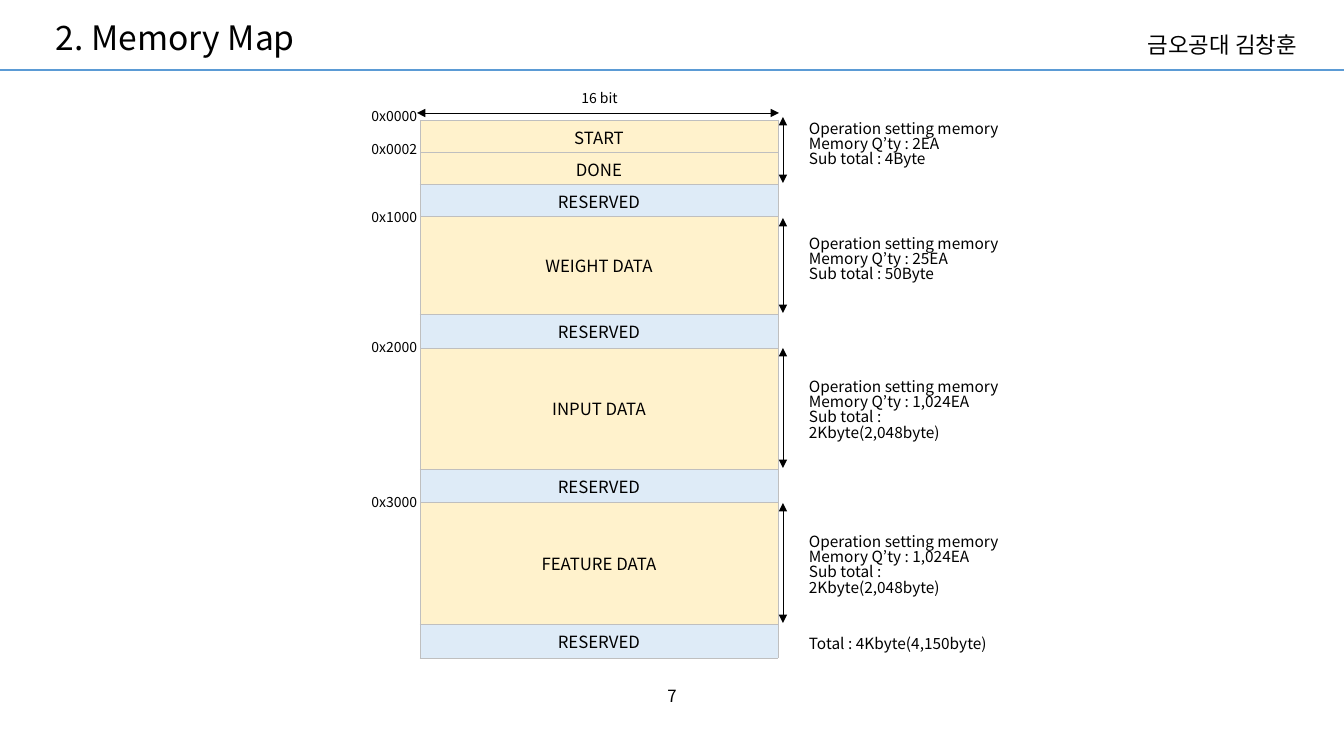
from lxml import etree
from pptx import Presentation
from pptx.dml.color import RGBColor
from pptx.enum.shapes import MSO_CONNECTOR
from pptx.enum.text import MSO_ANCHOR, PP_ALIGN
from pptx.oxml.ns import qn
from pptx.util import Emu, Pt

STRAIGHT = MSO_CONNECTOR.STRAIGHT
TOP, MIDDLE = MSO_ANCHOR.TOP, MSO_ANCHOR.MIDDLE
LEFT, CENTER, RIGHT = PP_ALIGN.LEFT, PP_ALIGN.CENTER, PP_ALIGN.RIGHT

EMU_PER_PIXEL = 914400 / 100.8
FONT = "Noto Sans CJK KR"
COLORS = {
    "text": "000000",
    "rule": "5B9BD5",
    "border": "BFBFBF",
    "used": "FFF2CC",
    "reserved": "DEEBF7",
}


def px(pixels):
    return Emu(round(pixels * EMU_PER_PIXEL))


def color(name):
    return RGBColor.from_string(COLORS[name])


class SlideBuilder:
    """Holds the style and the current slide."""

    def __init__(self, slide):
        self.slide = slide

    def fill_frame(self, frame, lines, size, align, spacing):
        for index, line in enumerate(lines):
            paragraph = frame.paragraphs[0] if index == 0 else frame.add_paragraph()
            paragraph.alignment = align
            paragraph.line_spacing = spacing
            run = paragraph.add_run()
            run.text = line
            for name, value in {"size": Pt(size), "name": FONT}.items():
                setattr(run.font, name, value)
            run.font.color.rgb = color("text")
            properties = run._r.get_or_add_rPr()
            etree.SubElement(properties, qn("a:ea")).set("typeface", FONT)

    def text(self, box, lines, size, align=LEFT, anchor=TOP, spacing=0.83, inset=None):
        frame = self.slide.shapes.add_textbox(*map(px, box)).text_frame
        settings = {"word_wrap": True, "vertical_anchor": anchor}
        if inset is not None:
            for side in ("left", "top", "right", "bottom"):
                settings[f"margin_{side}"] = px(inset)
        for name, value in settings.items():
            setattr(frame, name, value)
        self.fill_frame(frame, lines, size, align, spacing)

    def line(self, start, end, color_name, width, arrows=False):
        connector = self.slide.shapes.add_connector(
            STRAIGHT, *map(px, (*start, *end)))
        connector.line.color.rgb = color(color_name)
        connector.line.width = Pt(width)
        properties = connector._element.spPr
        if arrows:
            outline = properties.find(qn("a:ln"))
            for tag in ("a:headEnd", "a:tailEnd"):
                etree.SubElement(outline, qn(tag)).set("type", "triangle")
        etree.SubElement(properties, qn("a:effectLst"))

    def border(self, cell):
        properties = cell._tc.get_or_add_tcPr()
        for index, tag in enumerate(("a:lnL", "a:lnR", "a:lnT", "a:lnB")):
            edge = etree.Element(qn(tag), w=str(int(Pt(0.5))))
            fill = etree.SubElement(edge, qn("a:solidFill"))
            etree.SubElement(fill, qn("a:srgbClr")).set("val", COLORS["border"])
            properties.insert(index, edge)

    def memory_table(self, left, top, width, regions):
        heights = [height for _, height in regions]
        table = self.slide.shapes.add_table(
            len(regions), 1, *map(px, (left, top, width, sum(heights)))).table
        table.first_row = table.horz_banding = False
        for index, (label, height) in enumerate(regions):
            table.rows[index].height = px(height)
            cell = table.cell(index, 0)
            cell.vertical_anchor = MIDDLE
            cell.fill.solid()
            cell.fill.fore_color.rgb = color(
                "reserved" if label == "RESERVED" else "used")
            self.border(cell)
            self.fill_frame(cell.text_frame, [label], 12, CENTER, 1.0)


presentation = Presentation()
presentation.slide_width, presentation.slide_height = px(1344), px(756)
builder = SlideBuilder(
    presentation.slides.add_slide(presentation.slide_layouts[6]))

# Header and page number
builder.line((0, 70), (1344, 70), "rule", 1.5)
builder.text((1138, 31, 192, 37), ["금오공대 김창훈"], 16)
builder.text((46, 14, 410, 52), ["2. Memory Map"], 24, anchor=MIDDLE, spacing=0.9)
builder.text((521, 678, 302, 40), ["7"], 12, CENTER, MIDDLE)

# Memory regions
builder.memory_table(420, 120, 358, [
    ("START", 32), ("DONE", 32), ("RESERVED", 32),
    ("WEIGHT DATA", 98), ("RESERVED", 34),
    ("INPUT DATA", 121), ("RESERVED", 33),
    ("FEATURE DATA", 122), ("RESERVED", 34),
])

# Word width
builder.text((542, 87, 115, 27), ["16 bit"], 10, CENTER)
builder.line((417, 113), (779, 113), "text", 0.5, arrows=True)

# Each block: span arrow, start address, and a note centred on the span
BLOCKS = [
    (117, 183, "0x0000", "2EA", "4Byte"),
    (218, 313, "0x1000", "25EA", "50Byte"),
    (348, 468, "0x2000", "1,024EA", "2Kbyte(2,048byte)"),
    (503, 623, "0x3000", "1,024EA", "2Kbyte(2,048byte)"),
]
NOTE_LEFT, NOTE_HEIGHT = 799, 66
addresses = [(top - 8, address) for top, _, address, _, _ in BLOCKS]
for top, address in addresses + [(142, "0x0002")]:
    builder.text((366, top, 51, 17), [address], 10, RIGHT, MIDDLE, inset=0)
for top, bottom, _, quantity, subtotal in BLOCKS:
    builder.line((783, top), (783, bottom), "text", 0.5, arrows=True)
    note_top = (top + bottom - NOTE_HEIGHT) // 2
    builder.text((NOTE_LEFT, note_top, 222, NOTE_HEIGHT), [
        "Operation setting memory",
        f"Memory Q’ty : {quantity}",
        f"Sub total : {subtotal}",
    ], 11)
builder.text((NOTE_LEFT, 632, 279, 29), ["Total : 4Kbyte(4,150byte)"], 11)

presentation.save("out.pptx")
